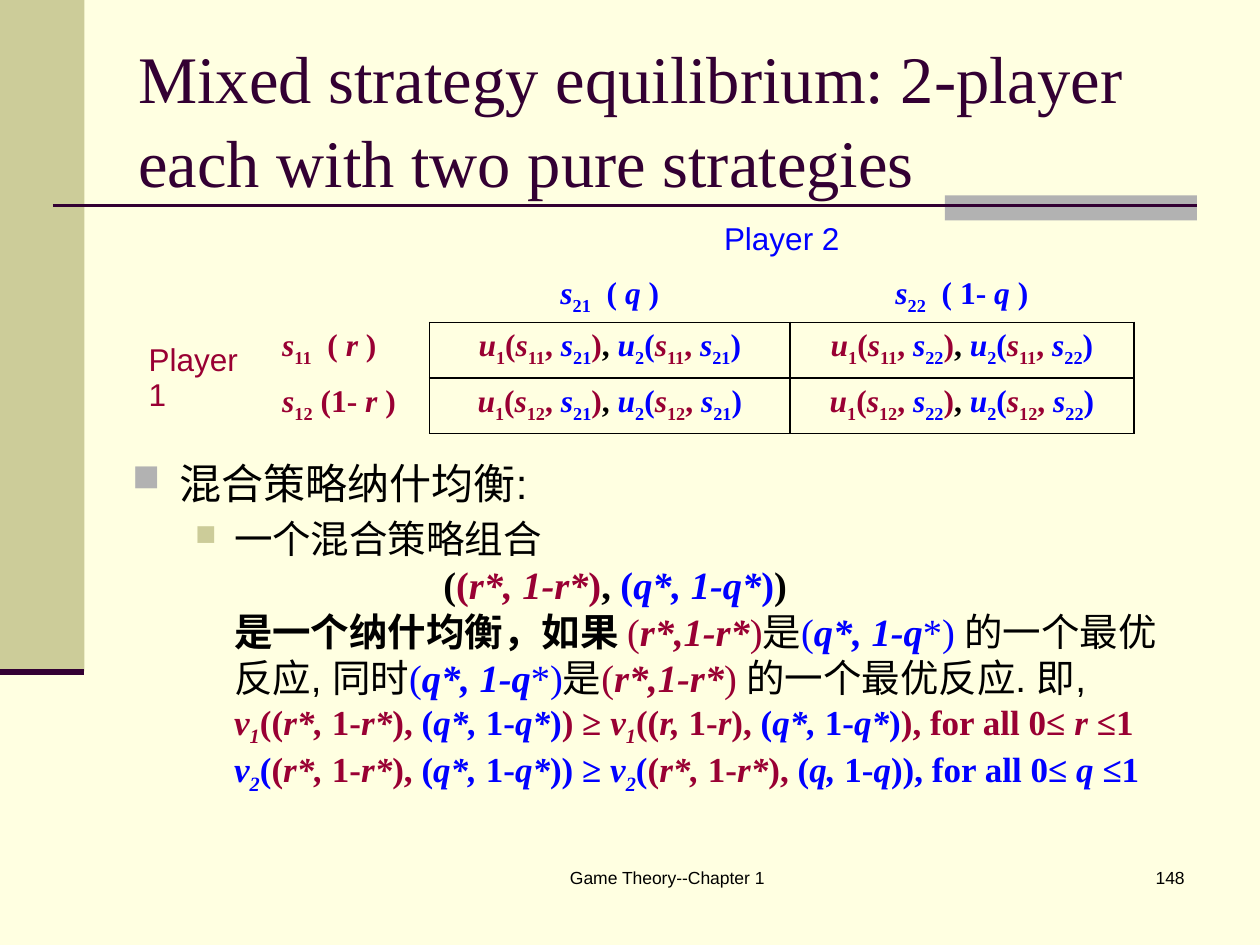
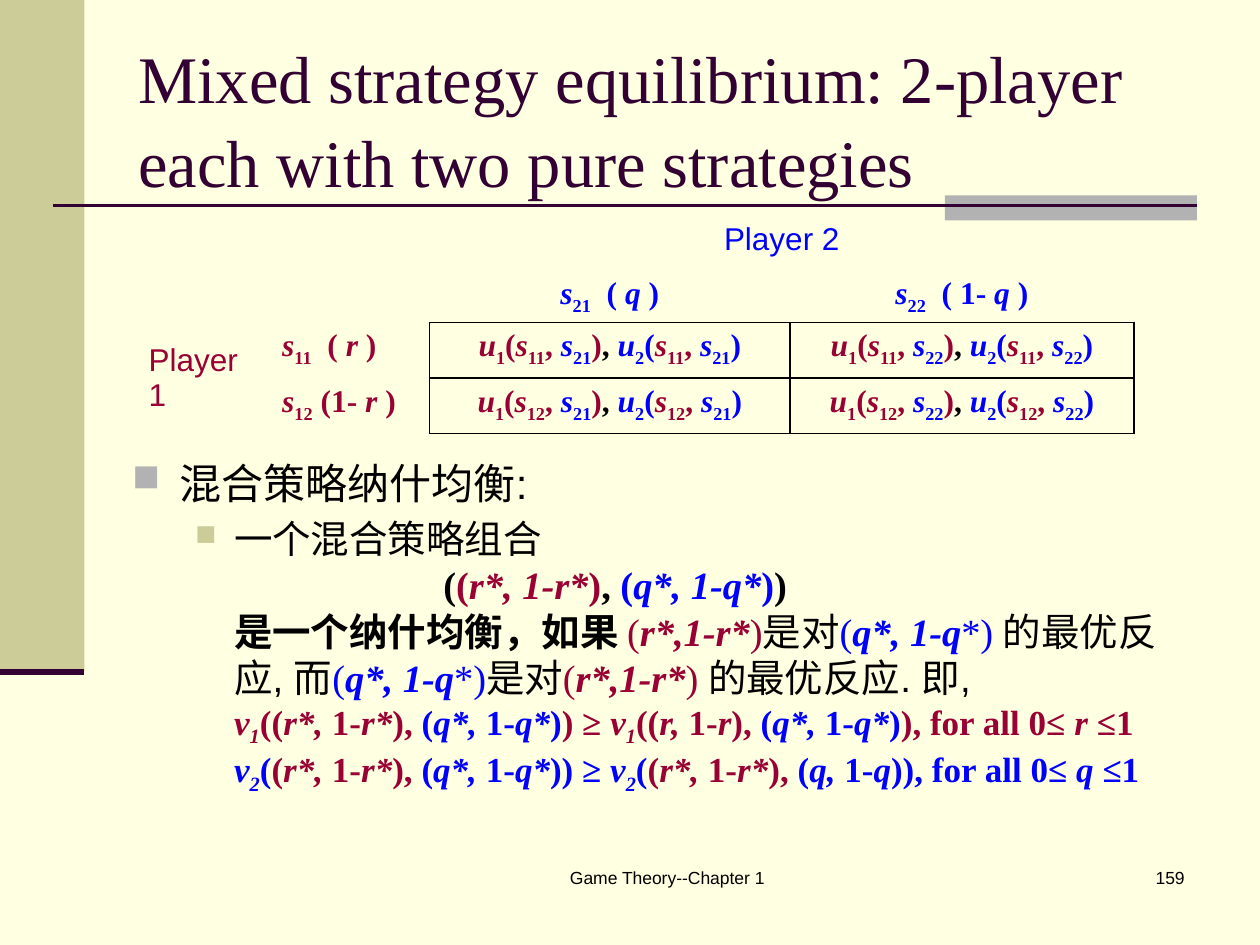
from lxml import etree
from pptx import Presentation
from pptx.dml.color import RGBColor
from pptx.enum.shapes import MSO_CONNECTOR as Connector, MSO_SHAPE as Shape
from pptx.enum.text import MSO_ANCHOR as Anchor, PP_ALIGN as Align
from pptx.oxml.ns import qn
from pptx.util import Inches, Pt

COLORS = {
    "page": "FFFFE1", "band": "CCCC99", "accent": "B2B2B2", "dark": "330033",
    "player1": "990033", "player2": "0000FF", "text": "000000",
}
SANS, SERIF, MONO = "Arial", "Times New Roman", "Courier New"
NO_TABLE_STYLE = "{2D5ABB26-0587-4C30-8999-92F81FD0307C}"

FORMAT_MARKS = {
    "[": {"color": "player1"},
    "]": {"color": "player2"},
    "|": {"color": "text"},
    "@": {"name": SANS, "color": "text"},
    "$": {"name": SERIF},
    "%": {"name": MONO, "bold": True},
    "`": {"name": SERIF, "bold": True, "size": 20},
}
TOGGLE_MARKS = {"/": "italic", "~": "bold", "_": "subscript"}

TITLE = "Mixed strategy equilibrium: 2-player each with two pure strategies"
FOOTER = "Game Theory--Chapter 1"
R_MIX = "$[(~/r*,1-r*~/)"
Q_MIX = "$](~/q*, 1-q~/*)"
R_STAR = "[(/r*, /1-/r*/)"
Q_STAR = "](/q*, /1-/q*/)"
MIXED_PAIR = "$~([(/r*, 1-r*/)|, ](/q*, 1-q*/)|)"
CONDITIONS = (
    f"`[/v_1_/({R_STAR}, {Q_STAR}[) ≥ /v_1_/((/r, /1-/r/), {Q_STAR}[), for all 0≤ /r /≤1\n"
    f"]/v_2_/({R_STAR}, {Q_STAR}) ≥ /v_2_/({R_STAR}, ](/q, /1-/q/)), for all 0≤ /q /≤1"
)
SLIDES = [
    ("148", f"%是一个纳什均衡，如果 ~{R_MIX}@是{Q_MIX} @的一个最优反应, 同时"
            f"{Q_MIX}@是{R_MIX} @的一个最优反应. 即,\n"),
    ("159", f"%是一个纳什均衡，如果 ~{R_MIX}@是对{Q_MIX} @的最优反应, 而"
            f"{Q_MIX}@是对{R_MIX} @的最优反应. 即,\n"),
]


def rgb(color):
    return RGBColor.from_string(COLORS[color])


def add_span(para, text, style):
    span = para.add_run()
    span.text = text
    for key, value in style.items():
        if key == "color":
            span.font.color.rgb = rgb(value)
        elif key == "subscript":
            if value:
                span.font._element.set("baseline", "-25000")
        else:
            setattr(span.font, key, Pt(value) if key == "size" else value)


def write(para, markup, **style):
    style = {"name": SANS, "color": "text", "bold": False, "italic": False,
             "subscript": False, **style}
    pending = ""
    for char in markup + "|":
        if char not in FORMAT_MARKS and char not in TOGGLE_MARKS and char != "\n":
            pending += char
            continue
        if pending:
            add_span(para, pending, style)
            pending = ""
        if char == "\n":
            para.add_line_break()
        elif char in FORMAT_MARKS:
            style.update(FORMAT_MARKS[char])
        else:
            style[TOGGLE_MARKS[char]] = not style[TOGGLE_MARKS[char]]


def add_child(parent, tag, **attributes):
    return etree.SubElement(parent, qn(tag), attributes)


def set_percent_space(para, percent=20):
    space = add_child(para._p.get_or_add_pPr(), "a:spcBef")
    add_child(space, "a:spcPct", val=str(percent * 1000))


def set_indent(para, left, hanging=0):
    properties = para._p.get_or_add_pPr()
    properties.set("marL", str(Inches(left)))
    properties.set("indent", str(-Inches(hanging)))


def set_bullet(para, color, percent):
    properties = para._p.get_or_add_pPr()
    add_child(add_child(properties, "a:buClr"), "a:srgbClr", val=COLORS[color])
    add_child(properties, "a:buSzPct", val=str(percent * 1000))
    add_child(properties, "a:buChar", char="■")


def add_text(page, left, top, width, height, anchor=Anchor.TOP):
    box = page.shapes.add_textbox(*map(Inches, (left, top, width, height)))
    box.text_frame.word_wrap = True
    box.text_frame.vertical_anchor = anchor
    return box.text_frame


def add_block(page, left, top, width, height, color):
    block = page.shapes.add_shape(Shape.RECTANGLE, *map(Inches, (left, top, width, height)))
    block.shadow.inherit = False
    block.fill.solid()
    block.fill.fore_color.rgb = rgb(color)
    block.line.fill.background()


def add_rule(page, left, right, y, weight):
    rule = page.shapes.add_connector(Connector.STRAIGHT, *map(Inches, (left, y, right, y)))
    rule.line.color.rgb = rgb("dark")
    rule.line.width = Pt(weight)
    add_child(rule._element.spPr, "a:effectLst")


def add_frame(page, number):
    page.background.fill.solid()
    page.background.fill.fore_color.rgb = rgb("page")
    add_block(page, 0, 0, 0.67, 5.33, "band")
    add_block(page, 7.5, 1.55, 2, 0.2, "accent")
    add_rule(page, 0.42, 9.5, 1.63, 1.5)
    add_rule(page, 0, 0.67, 5.33, 3.5)
    for left, width, align, text in ((3.67, 3.25, Align.CENTER, FOOTER),
                                     (7.42, 2.08, Align.RIGHT, number)):
        para = add_text(page, left, 6.83, width, 0.5).paragraphs[0]
        para.alignment = align
        write(para, text, size=10)
    title = add_text(page, 1, 0.3, 8.5, 1.25, Anchor.MIDDLE).paragraphs[0]
    title.line_spacing = 1.06
    write(title, TITLE, size=38, name=SERIF, color="dark")


def add_body(page, condition):
    frame = add_text(page, 0.95, 3.58, 8.42, 3.16)
    heading, intro, pair, rest = [frame.paragraphs[0]] + [frame.add_paragraph() for _ in range(3)]
    for para, left, hanging, color, percent in ((heading, 0.38, 0.38, "accent", 90),
                                                (intro, 0.81, 0.31, "band", 75)):
        set_indent(para, left, hanging)
        set_percent_space(para)
        set_bullet(para, color, percent)
    set_indent(pair, 2.47)
    set_indent(rest, 0.81)
    write(heading, "混合策略纳什均衡:", size=24)
    write(intro, "一个混合策略组合", size=22)
    write(pair, MIXED_PAIR, size=22)
    write(rest, condition + CONDITIONS, size=22)


def set_borders(cell, sides):
    properties = cell._tc.get_or_add_tcPr()
    for position, side in enumerate(sides):
        line = etree.Element(qn(f"a:ln{side}"), w=str(Pt(1)))
        fill = add_child(line, "a:solidFill")
        add_child(fill, "a:srgbClr", val=COLORS["text"])
        properties.insert(position, line)


def fill_cell(cell, markup, align=Align.CENTER, anchor=Anchor.TOP, sides="", **style):
    para = cell.text_frame.paragraphs[0]
    para.alignment = align
    set_percent_space(para)
    cell.vertical_anchor = anchor
    write(para, markup, size=18, **style)
    set_borders(cell, sides)


def payoff(row, column):
    def utility(player):
        return f"/u_/{player}_(["f"/s_/1{row}_, ]/s_/2{column}_"

    return f"[{utility(1)}[)|, ]{utility(2)})"


def add_game(page):
    widths, heights = (1.06, 1.27, 2.86, 2.73), (0.47, 0.47, 0.42, 0.42)
    table = page.shapes.add_table(
        4, 4, *map(Inches, (1.08, 1.62, sum(widths), sum(heights)))).table
    table.first_row = table.horz_banding = False
    table._tbl.tblPr.find(qn("a:tableStyleId")).text = NO_TABLE_STYLE
    for column, width in zip(table.columns, widths):
        column.width = Inches(width)
    for row, height in zip(table.rows, heights):
        row.height = Inches(height)
    for cell in table.iter_cells():
        cell.fill.background()
    table.cell(0, 2).merge(table.cell(0, 3))
    table.cell(2, 0).merge(table.cell(3, 0))
    fill_cell(table.cell(0, 2), "Player 2", anchor=Anchor.BOTTOM, color="player2")
    fill_cell(table.cell(2, 0), "Player 1", Align.LEFT, Anchor.MIDDLE, color="player1")
    strategy = {"name": SERIF, "bold": True}
    for column, chance in ((1, "( /q/ )"), (2, "( 1- /q/ )")):
        fill_cell(table.cell(1, column + 1), f"/s_/2{column}_  {chance}",
                  anchor=Anchor.BOTTOM, sides="B", color="player2", **strategy)
    for row, chance in ((1, " ( /r/ )"), (2, "(1- /r/ )")):
        fill_cell(table.cell(row + 1, 1), f"/s_/1{row}_ {chance}", Align.LEFT,
                  sides="R", color="player1", **strategy)
        for column in (1, 2):
            fill_cell(table.cell(row + 1, column + 1), payoff(row, column),
                      sides="LRTB", **strategy)


def main():
    deck = Presentation()
    deck.slide_width, deck.slide_height = Inches(10), Inches(7.5)
    for number, condition in SLIDES:
        page = deck.slides.add_slide(deck.slide_layouts[6])
        add_frame(page, number)
        add_body(page, condition)
        add_game(page)
    deck.save("out.pptx")


if __name__ == "__main__":
    main()
